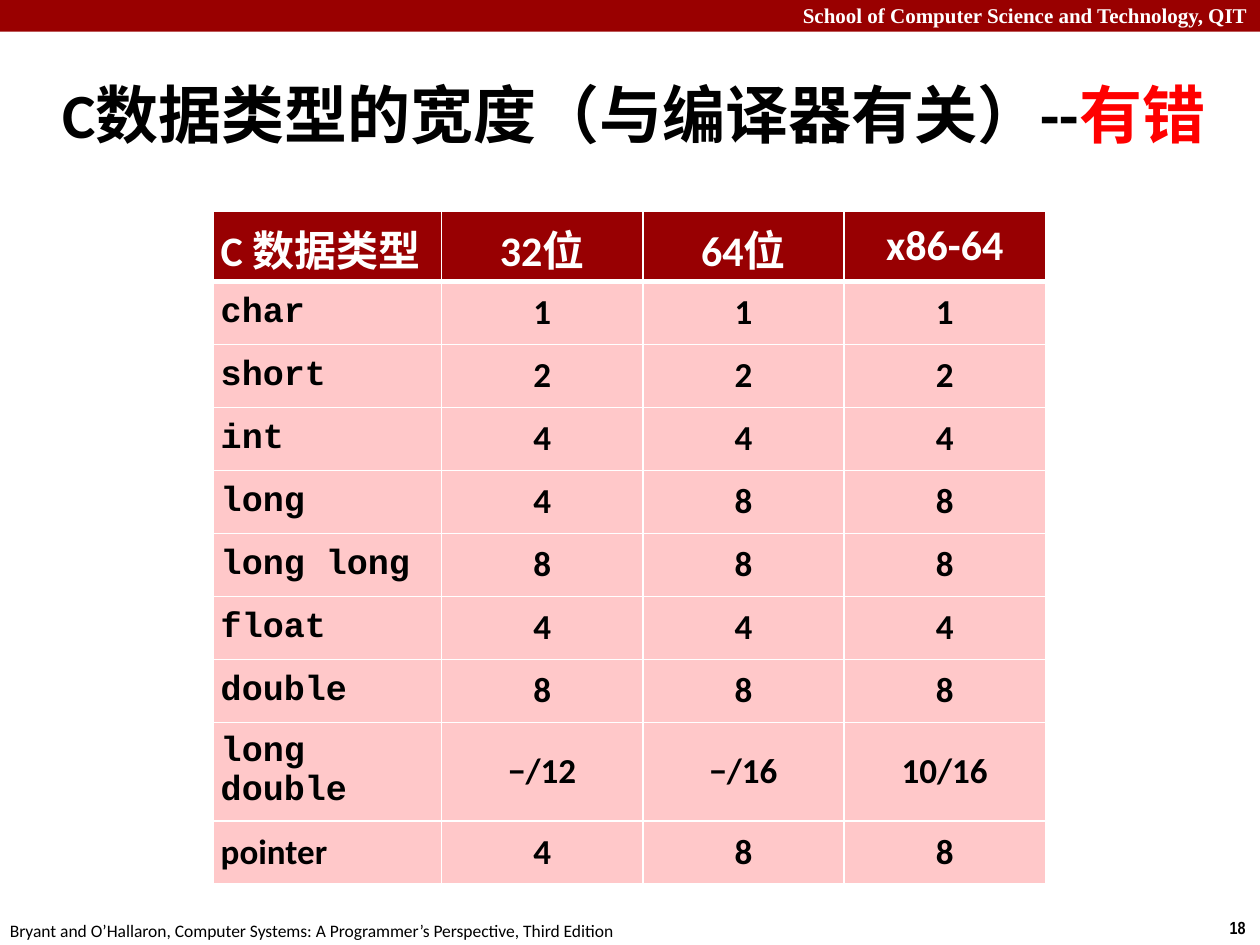
"""Build a slide with a table of C data type widths."""
from lxml.etree import SubElement
from pptx import Presentation
from pptx.dml.color import RGBColor
from pptx.enum.shapes import MSO_SHAPE
from pptx.enum.text import MSO_ANCHOR, MSO_AUTO_SIZE, PP_ALIGN
from pptx.oxml.ns import qn
from pptx.util import Cm, Pt

TITLE = [("C数据类型的宽度（与编译器有关）--", "title"), ("有错", "alert")]
SCHOOL = "School of Computer Science and Technology, QIT"
BOOK = "Bryant and O’Hallaron, Computer Systems: A Programmer’s Perspective, Third Edition"
PAGE = "18"
WIDTHS = [
    ("C 数据类型", "32位", "64位", "x86-64"),
    ("char", "1", "1", "1"),
    ("short", "2", "2", "2"),
    ("int", "4", "4", "4"),
    ("long", "4", "8", "8"),
    ("long long", "8", "8", "8"),
    ("float", "4", "4", "4"),
    ("double", "8", "8", "8"),
    ("long double", "−/12", "−/16", "10/16"),
    ("pointer", "4", "8", "8"),
]
COL_WIDTHS = [4.6, 4.06, 4.06, 4.06]
HEAD_HEIGHT, ROW_HEIGHT = 1.42, 1.27
INSET = 0.15

THEME = {
    "bar": "990000",
    "head_fill": "980002",
    "body_fill": "FFC8C9",
    "rule": "FFFFFF",
    "text": {
        "title": {"name": "Calibri", "size": 36, "bold": True, "color": "000000"},
        "alert": {"name": "Calibri", "size": 36, "bold": True, "color": "FF0000"},
        "school": {"name": "Times New Roman", "size": 12, "bold": True, "color": "FFFFFF"},
        "page": {"name": "Arial Narrow", "size": 10, "bold": True, "color": "000000"},
        "book": {"name": "Calibri", "size": 10, "bold": False, "color": "000000"},
        "head": {"name": "Calibri", "size": 24, "bold": True, "color": "FFFFFF"},
        "code": {"name": "Courier New", "size": 20, "bold": True, "color": "000000"},
        "value": {"name": "Calibri", "size": 20, "bold": True, "color": "000000"},
    },
}


def add_run(p, text, style):
    r = p.add_run()
    r.text = text
    for key, value in THEME["text"][style].items():
        if key == "color":
            r.font.color.rgb = RGBColor.from_string(value)
        else:
            setattr(r.font, key, Pt(value) if key == "size" else value)


def fill_solid(target, color):
    target.fill.solid()
    target.fill.fore_color.rgb = RGBColor.from_string(color)


def add_label(s, box, text, style, wrap=False, align=PP_ALIGN.LEFT):
    tf = s.shapes.add_textbox(*map(Cm, box)).text_frame
    tf.word_wrap = wrap
    tf.auto_size = MSO_AUTO_SIZE.SHAPE_TO_FIT_TEXT
    p = tf.paragraphs[0]
    p.alignment = align
    add_run(p, text, style)


def add_bar(s):
    sp = s.shapes.add_shape(MSO_SHAPE.RECTANGLE, 0, 0, Cm(25.4), Cm(0.64))
    sp.shadow.inherit = False
    fill_solid(sp, THEME["bar"])
    sp.line.fill.background()


def set_title(s):
    sp = s.shapes.title
    sp.left, sp.top, sp.width, sp.height = map(Cm, (1, 1.22, 24.4, 2.11))
    tf = sp.text_frame
    tf.word_wrap = True
    tf.auto_size = MSO_AUTO_SIZE.NONE
    tf.vertical_anchor = MSO_ANCHOR.MIDDLE
    p = tf.paragraphs[0]
    p.alignment = PP_ALIGN.LEFT
    pPr = p._p.get_or_add_pPr()
    pPr.set("marL", str(Cm(0.33)))
    pPr.set("indent", str(Cm(-0.33)))
    for text, style in TITLE:
        add_run(p, text, style)


def set_borders(cell, points):
    tcPr = cell._tc.get_or_add_tcPr()
    for i, side in enumerate("LRTB"):
        ln = SubElement(tcPr, qn(f"a:ln{side}"), w=str(Pt(points.get(side, 1))))
        color = SubElement(SubElement(ln, qn("a:solidFill")), qn("a:srgbClr"))
        color.set("val", THEME["rule"])
        tcPr.insert(i, ln)


def format_cell(cell, text, row, col):
    fill_solid(cell, THEME["body_fill" if row else "head_fill"])
    set_borders(cell, {0: {"B": 3}, 1: {"T": 3}}.get(row, {}))
    cell.vertical_anchor = MSO_ANCHOR.MIDDLE
    for side in ("left", "right", "top", "bottom"):
        setattr(cell, f"margin_{side}", Cm(INSET))
    p = cell.text_frame.paragraphs[0]
    p.alignment = PP_ALIGN.CENTER if col else PP_ALIGN.LEFT
    is_code = col == 0 and text != "pointer"
    add_run(p, text, "head" if row == 0 else "code" if is_code else "value")


def add_widths_table(s):
    heights = [HEAD_HEIGHT] + [ROW_HEIGHT] * (len(WIDTHS) - 1)
    box = map(Cm, (4.3, 4.25, sum(COL_WIDTHS), sum(heights)))
    table = s.shapes.add_table(len(WIDTHS), len(COL_WIDTHS), *box).table
    for column, width in zip(table.columns, COL_WIDTHS):
        column.width = Cm(width)
    for i, (height, texts) in enumerate(zip(heights, WIDTHS)):
        table.rows[i].height = Cm(height)
        for j, text in enumerate(texts):
            format_cell(table.cell(i, j), text, i, j)


def main():
    prs = Presentation()
    prs.slide_width, prs.slide_height = Cm(25.4), Cm(19.05)
    s = prs.slides.add_slide(prs.slide_layouts[5])
    add_bar(s)
    add_label(s, (0, -0.08, 25.4, 0.76), SCHOOL, "school", True, PP_ALIGN.RIGHT)
    add_label(s, (24.54, 18.36, 0.86, 0.69), PAGE, "page")
    add_label(s, (-0.05, 18.42, 12.9, 0.69), BOOK, "book")
    set_title(s)
    add_widths_table(s)
    prs.save("out.pptx")


if __name__ == "__main__":
    main()
